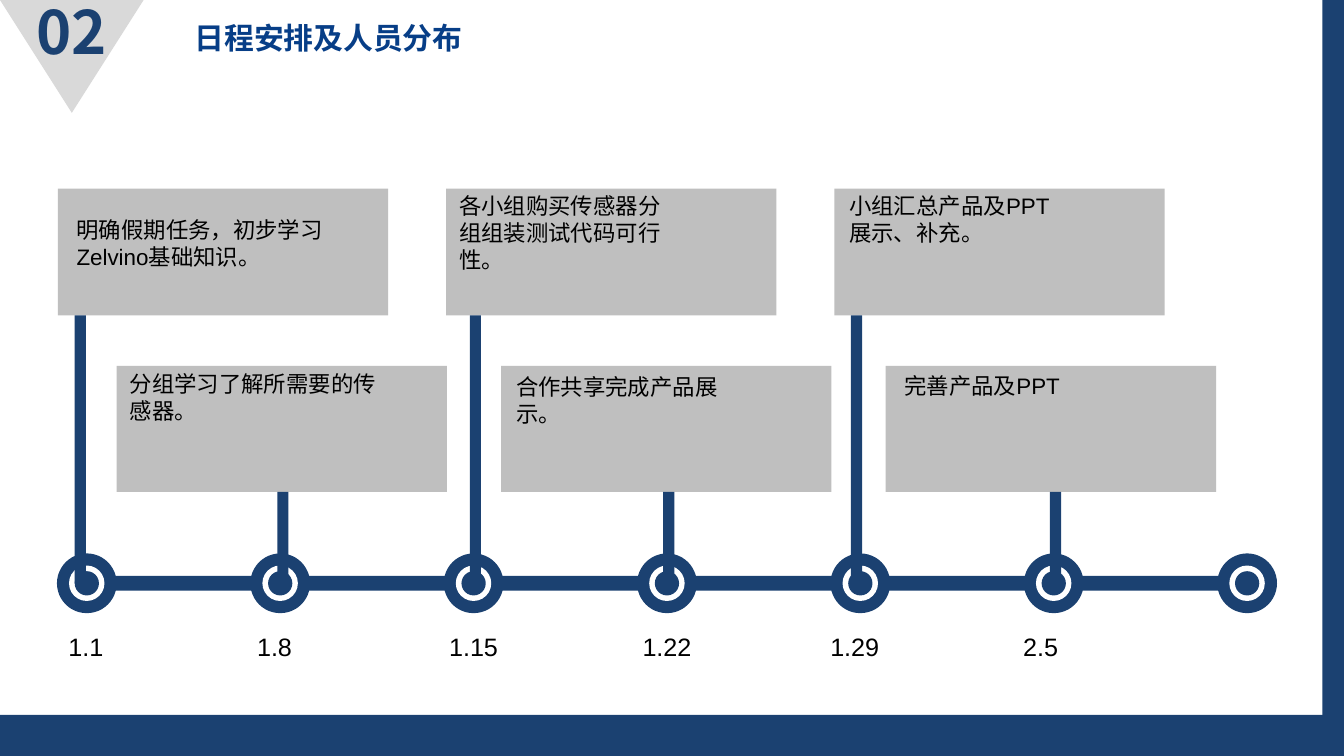
from pptx import Presentation
from pptx.dml.color import RGBColor
from pptx.enum.shapes import MSO_SHAPE
from pptx.enum.text import MSO_ANCHOR, MSO_AUTO_SIZE, PP_ALIGN
from pptx.util import Pt

RECT, OVAL = MSO_SHAPE.RECTANGLE, MSO_SHAPE.OVAL
TOP, MIDDLE = MSO_ANCHOR.TOP, MSO_ANCHOR.MIDDLE
LEFT, CENTER = PP_ALIGN.LEFT, PP_ALIGN.CENTER
FIXED = MSO_AUTO_SIZE.NONE

COLORS = {
    "navy": "1B4171", "title": "073E87", "card": "BFBFBF",
    "badge": "D9D9D9", "white": "FFFFFF", "black": "000000",
}
SANS, HAN = "Arial", "Noto Sans CJK SC"
WIDTH, HEIGHT = 720, 405

# Card text, left / top / right insets, post shift, date, date shift
STEPS = [
    ("明确假期任务，初步学习Zelvino基础知识。", (10, 15, 7), -3.5, "1.1", -0.5),
    ("分组学习了解所需要的传感器。", (7, 2.5, 27), 1.5, "1.8", -3),
    ("各小组购买传感器分组组装测试代码可行性。", (7, 2, 58), 1, "1.15", 0),
    ("合作共享完成产品展示。", (8, 4, 57), 1, "1.22", 0),
    ("小组汇总产品及PPT展示、补充。", (8, 2, 50), -2, "1.29", -3),
    ("完善产品及PPT", (10, 3.5, 48), 1, "2.5", -7),
]
# Left, top, height and step of the two rows of cards
ROWS = [(31, 101, 68, 208), (62.5, 196, 67.5, 206)]


def color(name):
    return RGBColor.from_string(COLORS[name])


def paint(shape, fill):
    shape.shadow.inherit = False
    shape.fill.solid()
    shape.fill.fore_color.rgb = color(fill)
    shape.line.fill.background()
    return shape


def block(slide, kind, box, fill):
    return paint(slide.shapes.add_shape(kind, *map(Pt, box)), fill)


def write(shape, text, size, font=SANS, ink="black", bold=False,
          align=LEFT, anchor=TOP, pads=(7.2, 3.6, 7.2, 3.6)):
    """Set the text of a shape; pads are left, top, right and bottom."""
    frame = shape.text_frame
    frame.word_wrap = True
    frame.auto_size = FIXED
    frame.vertical_anchor = anchor
    (frame.margin_left, frame.margin_top,
     frame.margin_right, frame.margin_bottom) = map(Pt, pads)
    par = frame.paragraphs[0]
    par.text = text
    par.alignment = align
    par.font.name = font
    par.font.size = Pt(size)
    par.font.bold = bold
    par.font.color.rgb = color(ink)


def frame_edges(slide, side, foot):
    """Draw the bars on the right and bottom edges."""
    block(slide, RECT, (WIDTH - side, 0, side, HEIGHT), "navy")
    block(slide, RECT, (0, HEIGHT - foot, WIDTH, foot), "navy")


def header(slide, x, y, w, h):
    title = slide.shapes.title
    title.left, title.top, title.width, title.height = map(Pt, (x, y, w, h))
    write(title, "日程安排及人员分布", 16, HAN, "title", True)


def badge(slide, x, y, w, h):
    path = slide.shapes.build_freeform(Pt(x), Pt(y))
    path.add_line_segments([(Pt(x + w), Pt(y)), (Pt(x + w / 2), Pt(y + h))])
    shape = paint(path.convert_to_shape(), "badge")
    write(shape, "02", 32, HAN, "navy", True, CENTER, MIDDLE, (7, 0, 7, 28))


def node(slide, x, y):
    """Draw one ringed dot centred on x, y."""
    for size, fill in ((32, "navy"), (19, "white"), (13, "navy")):
        block(slide, OVAL, (x - size / 2, y - size / 2, size, size), fill)


def card(slide, box, text, pads):
    write(block(slide, RECT, box, "card"), text, 12, pads=(*pads, 0))


def date(slide, x, y, text):
    w, h = 69, 24
    label = slide.shapes.add_textbox(Pt(x - w / 2), Pt(y), Pt(w), Pt(h))
    write(label, text, 13.5, align=CENTER)


def timeline(slide, x, y, pitch):
    """Draw the axis from its first node at x, y, with posts and cards."""
    count = len(STEPS) + 1
    block(slide, RECT, (x, y - 4, pitch * (count - 1), 8), "navy")
    for i in range(count):
        node(slide, x + i * pitch, y)
    for i, (text, pads, shift, day, nudge) in enumerate(STEPS):
        mid = x + i * pitch
        left, top, tall, step = ROWS[i % 2]
        base = top + tall
        card(slide, (left + i // 2 * step, top, 177, tall), text, pads)
        block(slide, RECT, (mid + shift - 3, base, 6, y - base), "navy")
        date(slide, mid + nudge, y + 22, day)


def main():
    deck = Presentation()
    deck.slide_width, deck.slide_height = Pt(WIDTH), Pt(HEIGHT)
    slide = deck.slides.add_slide(deck.slide_layouts[5])
    frame_edges(slide, 11.5, 22)
    timeline(slide, 46.5, 312.5, 103.6)
    header(slide, 97, 7, 191, 27)
    badge(slide, 0, 0, 77, 60.5)
    deck.save("out.pptx")


if __name__ == "__main__":
    main()
